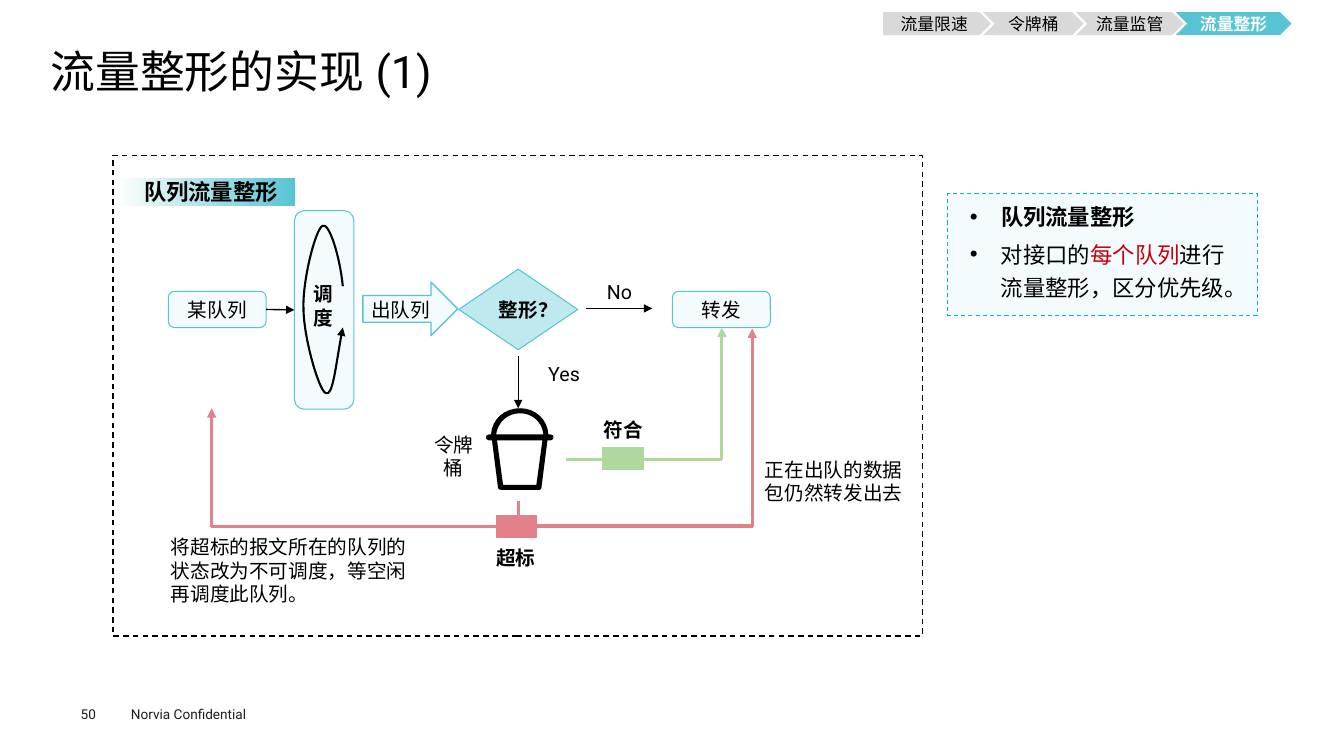
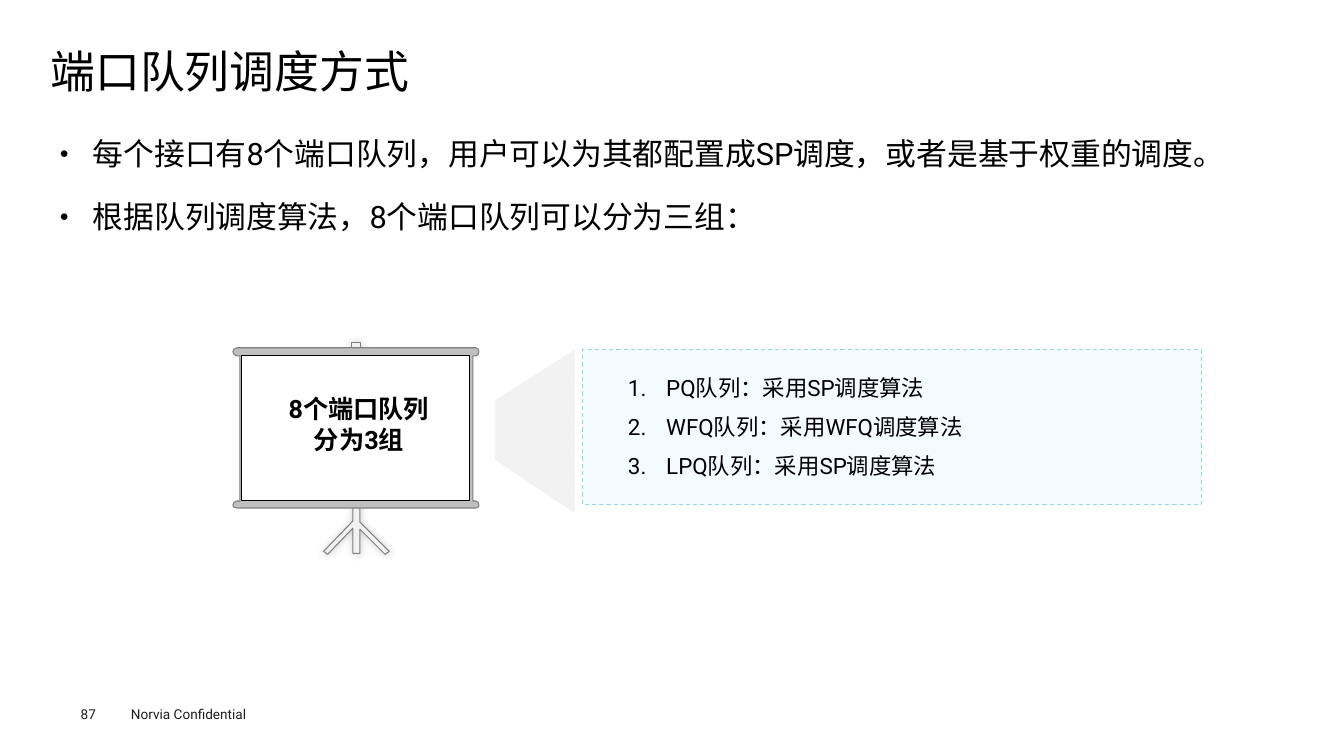
from dataclasses import dataclass

from lxml import etree
from pptx import Presentation
from pptx.dml.color import RGBColor
from pptx.enum.dml import MSO_LINE
from pptx.enum.lang import MSO_LANGUAGE_ID
from pptx.enum.shapes import MSO_CONNECTOR, MSO_SHAPE
from pptx.enum.text import MSO_ANCHOR, PP_ALIGN
from pptx.oxml.ns import qn
from pptx.util import Inches, Pt

DASH = MSO_LINE.DASH
CHINESE = MSO_LANGUAGE_ID.SIMPLIFIED_CHINESE
STRAIGHT, ELBOW = MSO_CONNECTOR.STRAIGHT, MSO_CONNECTOR.ELBOW
RECT, ROUNDED = MSO_SHAPE.RECTANGLE, MSO_SHAPE.ROUNDED_RECTANGLE
DIAMOND, PROCESS = MSO_SHAPE.FLOWCHART_DECISION, MSO_SHAPE.FLOWCHART_PROCESS
BLOCK_ARROW, PENTAGON, CHEVRON = MSO_SHAPE.RIGHT_ARROW, MSO_SHAPE.PENTAGON, MSO_SHAPE.CHEVRON
TOP, MIDDLE = MSO_ANCHOR.TOP, MSO_ANCHOR.MIDDLE
LEFT, CENTER, JUSTIFY = PP_ALIGN.LEFT, PP_ALIGN.CENTER, PP_ALIGN.JUSTIFY
LEFT_SIDE, RIGHT_SIDE = 1, 3
INSETS, NO_INSETS = (0.1, 0.05, 0.1, 0.05), (0, 0, 0, 0)


@dataclass(frozen=True)
class Theme:
    font: str = "Roboto"
    bullet_font: str = "Arial"
    black: str = "000000"
    white: str = "FFFFFF"
    footer: str = "1D1D1B"
    red: str = "C7000B"
    teal: str = "56C4D2"
    teal_mid: str = "94DAE2"
    teal_light: str = "BEE9EE"
    ice: str = "F4FBFE"
    blue: str = "00B0F0"
    pass_green: str = "AFD89C"
    excess_red: str = "E28189"
    tab_gray: str = "D9D9D9"
    stand_gray: str = "F2F2F2"
    roller_gray: str = "BFBFBF"
    edge_gray: str = "808080"
    title_size: float = 32
    body_size: float = 22
    screen_size: float = 18
    list_size: float = 16
    label_size: float = 14
    tab_size: float = 12
    footer_size: float = 9.7


T = Theme()


def rgb(value):
    return RGBColor.from_string(value)


def paint(shape, fill=None, line=None, width=0.75, dash=None):
    shape.shadow.inherit = False
    if fill:
        shape.fill.solid()
        shape.fill.fore_color.rgb = rgb(fill)
    else:
        shape.fill.background()
    if line:
        shape.line.color.rgb = rgb(line)
        shape.line.width = Pt(width)
        if dash:
            shape.line.dash_style = dash
    else:
        shape.line.fill.background()
    return shape


def add_run(paragraph, text, size, color, bold):
    run = paragraph.add_run()
    run.text = text
    font = run.font
    font.name, font.size, font.bold = T.font, Pt(size), bold
    font.color.rgb = rgb(color)
    font.language_id = CHINESE
    etree.SubElement(font._element, qn("a:ea"), typeface=T.font)


def add_bullet(paragraph, indent, char=None, percent=None):
    properties = paragraph._p.get_or_add_pPr()
    properties.set("marL", str(Inches(indent)))
    properties.set("indent", str(-Inches(indent)))
    if percent:
        etree.SubElement(properties, qn("a:buSzPct"), val=str(percent * 1000))
    if char:
        etree.SubElement(properties, qn("a:buFont"), typeface=T.bullet_font)
        etree.SubElement(properties, qn("a:buChar"), char=char)
    else:
        etree.SubElement(properties, qn("a:buAutoNum"), type="arabicPeriod")


def write(shape, paragraphs, size=T.label_size, color=T.black, bold=False, align=CENTER,
          anchor=MIDDLE, insets=INSETS, wrap=True, spacing=1, before=0, after=0, bullet=None):
    frame = shape.text_frame
    frame.word_wrap = wrap
    frame.vertical_anchor = anchor
    (frame.margin_left, frame.margin_top,
     frame.margin_right, frame.margin_bottom) = map(Inches, insets)
    for index, runs in enumerate(paragraphs):
        paragraph = frame.add_paragraph() if index else frame.paragraphs[0]
        if bullet:
            add_bullet(paragraph, **bullet)
        paragraph.alignment = align
        paragraph.line_spacing = spacing
        paragraph.space_before = Pt(before if index else 0)
        paragraph.space_after = Pt(after)
        for run in [runs] if isinstance(runs, str) else runs:
            text, changes = (run, {}) if isinstance(run, str) else run
            add_run(paragraph, text, **{"size": size, "color": color, "bold": bold, **changes})
    return shape


def add_text(slide, at, *paragraphs, **style):
    return write(slide.shapes.add_textbox(*map(Inches, at)), paragraphs, **style)


def add_box(slide, kind, at, fill=None, line=None, **outline):
    return paint(slide.shapes.add_shape(kind, *map(Inches, at)), fill, line, **outline)


def add_label(slide, at, text, **style):
    return write(add_box(slide, ROUNDED, at), [text], **style)


def add_arrowhead(shape):
    etree.SubElement(shape.line._get_or_add_ln(), qn("a:tailEnd"), type="triangle")


def add_link(slide, start, end, color=T.black, width=1, bend=None):
    link = slide.shapes.add_connector(ELBOW if bend else STRAIGHT, *map(Inches, start + end))
    link.line.color.rgb = rgb(color)
    link.line.width = Pt(width)
    add_arrowhead(link)
    properties = link._element.spPr
    if bend:
        properties.find(qn("a:prstGeom")).set("prst", bend)
    etree.SubElement(properties, qn("a:effectLst"))
    return link


def add_return_link(slide, start, end, drop, color, width):
    across, rise = end[0] - start[0], start[1] - end[1]
    middle_x, middle_y = (start[0] + end[0]) / 2, (start[1] + end[1]) / 2
    link = add_link(slide, (middle_x + rise / 2, middle_y + across / 2),
                    (middle_x - rise / 2, middle_y - across / 2), color, width,
                    "bentConnector4")
    properties = link._element.spPr
    properties.find(qn("a:xfrm")).set("rot", "5400000")
    guides = properties.find(qn("a:prstGeom")).find(qn("a:avLst"))
    for name, share in (("adj1", -drop / rise), ("adj2", 1)):
        etree.SubElement(guides, qn("a:gd"), name=name, fmla=f"val {round(share * 100000)}")


def bend_segment(line_to, controls, left, top):
    line_to.tag = qn("a:cubicBezTo")
    for index in (0, 2):
        point = etree.Element(qn("a:pt"), x=str(Inches(controls[index]) - left),
                              y=str(Inches(controls[index + 1]) - top))
        line_to.insert(index // 2, point)


def add_outline(slide, contours, closed=True):
    builder = None
    for start, *segments in contours:
        first = tuple(map(Inches, start))
        if builder is None:
            builder = slide.shapes.build_freeform(*first)
        else:
            builder.move_to(*first)
        builder.add_line_segments([tuple(map(Inches, s[-2:])) for s in segments], close=closed)
    outline = builder.convert_to_shape()
    segments = [segment for _, *rest in contours for segment in rest]
    for line_to, segment in zip(list(outline._element.iter(qn("a:lnTo"))), segments):
        if len(segment) == 6:
            bend_segment(line_to, segment, outline.left, outline.top)
    return outline


def add_soft_shadow(shape):
    effects = shape._element.spPr.find(qn("a:effectLst"))
    shadow = etree.SubElement(effects, qn("a:outerShdw"), blurRad=str(Pt(6)), dist="0",
                              dir="13500000", algn="ctr", rotWithShape="0")
    tint = etree.SubElement(shadow, qn("a:srgbClr"), val=T.black)
    etree.SubElement(tint, qn("a:alpha"), val="20000")


def start_slide(deck, title, number):
    slide = deck.slides.add_slide(deck.slide_layouts[6])
    footer = dict(size=T.footer_size, color=T.footer, align=LEFT, anchor=TOP)
    add_text(slide, (1.2, 6.95, 1.6, 0.27), "Norvia Confidential", **footer)
    add_text(slide, (0.8, 7, 0.55, 0.16), number, insets=NO_INSETS, **footer)
    add_text(slide, (0.5, 0.49, 12.31, 0.53), title, size=T.title_size, align=LEFT,
             anchor=TOP, insets=NO_INSETS, spacing=0.9)
    return slide


def add_chapter_tabs(slide, tabs, active, left=8.76, overlap=0.08):
    for index, (name, width) in enumerate(tabs):
        current = name == active
        tab = add_box(slide, CHEVRON if index else PENTAGON, (left, 0.12, width, 0.23),
                      T.teal if current else T.tab_gray)
        write(tab, [name], size=T.tab_size, color=T.white if current else T.black,
              bold=current, insets=NO_INSETS)
        left += width - overlap


def add_bucket(slide):
    bucket = add_outline(slide, [
        [(5.46, 4.31), (5.44, 4.31), (5.43, 4.16, 5.31, 4.05, 5.16, 4.05),
         (5, 4.05, 4.88, 4.16, 4.87, 4.31), (4.85, 4.31),
         (4.83, 4.31, 4.82, 4.32, 4.82, 4.34), (4.82, 4.35, 4.83, 4.37, 4.85, 4.37),
         (4.88, 4.37), (4.94, 4.84), (4.94, 4.85, 4.95, 4.86, 4.97, 4.86), (5.35, 4.86),
         (5.36, 4.86, 5.37, 4.85, 5.37, 4.84), (5.43, 4.37), (5.46, 4.37),
         (5.48, 4.37, 5.49, 4.35, 5.49, 4.34), (5.49, 4.32, 5.48, 4.31, 5.46, 4.31)],
        [(5.32, 4.81), (4.99, 4.81), (4.93, 4.37), (5.38, 4.37), (5.32, 4.81)],
        [(4.92, 4.31), (4.94, 4.19, 5.03, 4.1, 5.16, 4.1),
         (5.28, 4.1, 5.38, 4.19, 5.39, 4.31), (4.92, 4.31)],
    ])
    paint(bucket, T.black)


def add_scheduler(slide):
    scheduler = add_box(slide, ROUNDED, (2.92, 2.09, 0.59, 1.97), T.ice, T.teal)
    add_text(slide, (3.01, 2.75, 0.39, 0.57), "调", "度", bold=True, wrap=False)
    cycle = add_outline(slide, [
        [(3.4, 2.84), (3.37, 2.53, 3.26, 2.2, 3.2, 2.24), (3.13, 2.27, 3, 2.78, 3.01, 3.06),
         (3.01, 3.34, 3.16, 3.87, 3.23, 3.9), (3.3, 3.94, 3.33, 3.61, 3.4, 3.25)],
    ], closed=False)
    paint(cycle, line=T.black, width=1.5)
    add_arrowhead(cycle)
    return scheduler


def add_flow_steps(slide):
    queue, _ = [
        write(add_box(slide, ROUNDED, (left, 2.89, 0.97, 0.36), T.ice, T.teal), [name])
        for left, name in ((1.67, "某队列"), (6.67, "转发"))
    ]
    scheduler = add_scheduler(slide)
    enter = add_link(slide, (2.64, 3.07), (2.92, 3.07))
    enter.begin_connect(queue, RIGHT_SIDE)
    enter.end_connect(scheduler, LEFT_SIDE)
    add_box(slide, BLOCK_ARROW, (3.6, 2.8, 0.94, 0.53), T.ice, T.teal, width=1)
    decision = add_box(slide, DIAMOND, (4.55, 2.67, 1.18, 0.8), T.teal_light, T.teal)
    write(decision, ["整形？"], bold=True, insets=(0.2, 0, 0, 0), wrap=False)
    add_link(slide, (5.81, 3.06), (6.47, 3.06))
    add_link(slide, (5.14, 3.53), (5.14, 4.05))
    add_bucket(slide)


def add_bucket_results(slide):
    add_link(slide, (5.61, 4.56), (7.16, 3.25), T.pass_green, 2.25, "bentConnector2")
    for end in ((2.1, 4.05), (7.46, 3.26)):
        add_return_link(slide, (5.14, 4.97), end, 0.25, T.excess_red, 2.25)
    for left, top, color in ((5.98, 4.44, T.pass_green), (4.92, 5.11, T.excess_red)):
        add_box(slide, RECT, (left, top, 0.4, 0.22), color, color)


def build_shaping_slide(deck):
    slide = start_slide(deck, "流量整形的实现 (1)", "50")
    add_flow_steps(slide)
    add_bucket_results(slide)
    for left, top, label, bold in (
        (3.52, 2.89, "出队列", False), (5.69, 2.71, "No", False), (5.14, 3.53, "Yes", False),
        (5.73, 4.08, "符合", True), (4.66, 5.35, "超标", True),
    ):
        add_label(slide, (left, top, 0.91, 0.36), label, bold=bold)
    add_text(slide, (4.11, 4.36, 0.78, 0.33), "令牌桶", wrap=False)
    add_label(slide, (7.46, 4.48, 1.65, 0.59), "正在出队的数据包仍然转发出去", align=LEFT)
    add_label(slide, (1.55, 5.19, 2.72, 0.94),
              "将超标的报文所在的队列的状态改为不可调度，等空闲再调度此队列。", align=LEFT)

    add_box(slide, RECT, (1.12, 1.54, 8.03, 4.77), line=T.black, width=1, dash=DASH)
    heading = add_box(slide, PROCESS, (1.16, 1.77, 1.77, 0.27))
    heading.fill.gradient()
    heading.fill.gradient_angle = 180
    for stop, color in zip(heading.fill.gradient_stops, (T.teal, T.white)):
        stop.color.rgb = rgb(color)
    add_text(slide, (1.33, 1.72, 1.55, 0.37), "队列流量整形", size=T.list_size,
             bold=True, align=LEFT)

    add_box(slide, RECT, (9.4, 1.92, 3.07, 1.21), T.ice, T.blue, dash=DASH)
    summary = dict(size=T.list_size, align=LEFT, spacing=1.25,
                   bullet=dict(indent=0.31, char="•"))
    add_text(slide, (9.52, 1.9, 2.52, 0.43), "队列流量整形", bold=True, **summary)
    add_text(slide, (9.52, 2.27, 2.94, 0.77),
             ["对接口的", ("每个队列", {"color": T.red}), "进行流量整形，区分优先级。"], **summary)
    add_chapter_tabs(slide, [("流量限速", 1.07), ("令牌桶", 1), ("流量监管", 1.07),
                             ("流量整形", 1.15)], "流量整形")


def add_projection_screen(slide):
    tripod = add_outline(slide, [
        [(3.49, 3.4), (3.58, 3.4), (3.58, 3.51), (3.49, 3.51)],
        [(3.5, 4.87), (3.57, 4.87), (3.57, 5.18), (3.86, 5.47), (3.82, 5.5), (3.57, 5.25),
         (3.57, 5.49), (3.5, 5.49), (3.5, 5.24), (3.25, 5.5), (3.21, 5.47), (3.5, 5.17)],
    ])
    add_soft_shadow(paint(tripod, T.stand_gray, T.edge_gray))
    rollers = add_outline(slide, [
        [(2.35, 4.97), (2.38, 4.97), (2.38, 3.53), (2.35, 3.53),
         (2.33, 3.53, 2.31, 3.51, 2.31, 3.49), (2.31, 3.47, 2.33, 3.45, 2.35, 3.45),
         (4.72, 3.45), (4.74, 3.45, 4.75, 3.47, 4.75, 3.49),
         (4.75, 3.51, 4.74, 3.53, 4.72, 3.53), (4.69, 3.53), (4.69, 4.97), (4.72, 4.97),
         (4.74, 4.97, 4.75, 4.99, 4.75, 5.01), (4.75, 5.03, 4.74, 5.04, 4.72, 5.04),
         (2.35, 5.04), (2.33, 5.04, 2.31, 5.03, 2.31, 5.01),
         (2.31, 4.99, 2.33, 4.97, 2.35, 4.97)],
    ])
    paint(rollers, T.roller_gray, T.edge_gray)
    add_box(slide, RECT, (2.4, 3.53, 2.26, 1.44), T.white, T.black)
    add_text(slide, (2.68, 3.83, 1.76, 0.75), "8个端口队列", "分为3组",
             size=T.screen_size, bold=True)


def build_scheduling_slide(deck):
    slide = start_slide(deck, "端口队列调度方式", "87")
    add_text(slide, (0.5, 1.15, 12.31, 5.34),
             "每个接口有8个端口队列，用户可以为其都配置成SP调度，或者是基于权重的调度。",
             "根据队列调度算法，8个端口队列可以分为三组：",
             size=T.body_size, align=JUSTIFY, anchor=TOP, insets=(0.09, 0.04, 0.09, 0.04),
             spacing=1.4, before=7.9, bullet=dict(indent=0.33, percent=50, char="●"))
    add_box(slide, RECT, (5.78, 3.47, 6.14, 1.54), T.ice, T.teal_mid, dash=DASH)
    add_text(slide, (6.13, 3.59, 5.47, 1.22), "PQ队列：采用SP调度算法",
             "WFQ队列：采用WFQ调度算法", "LPQ队列：采用SP调度算法",
             size=T.list_size, align=LEFT, spacing=1.25, before=2, after=2,
             bullet=dict(indent=0.38))
    beam = add_outline(slide, [[(5.7, 5.09), (4.91, 4.56), (4.91, 3.97), (5.7, 3.47)]])
    paint(beam, T.stand_gray)
    add_projection_screen(slide)


def main():
    deck = Presentation()
    deck.slide_width, deck.slide_height = Inches(13.33), Inches(7.5)
    build_shaping_slide(deck)
    build_scheduling_slide(deck)
    deck.save("out.pptx")


if __name__ == "__main__":
    main()
